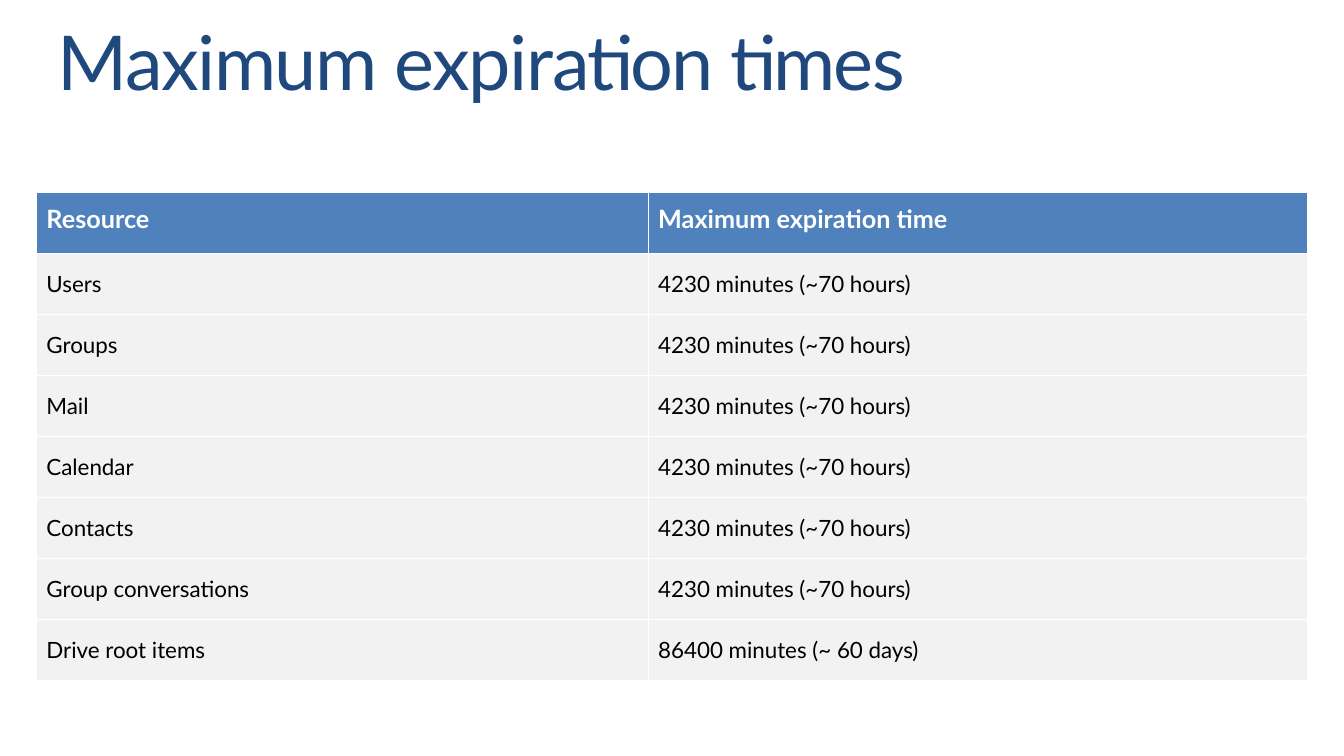
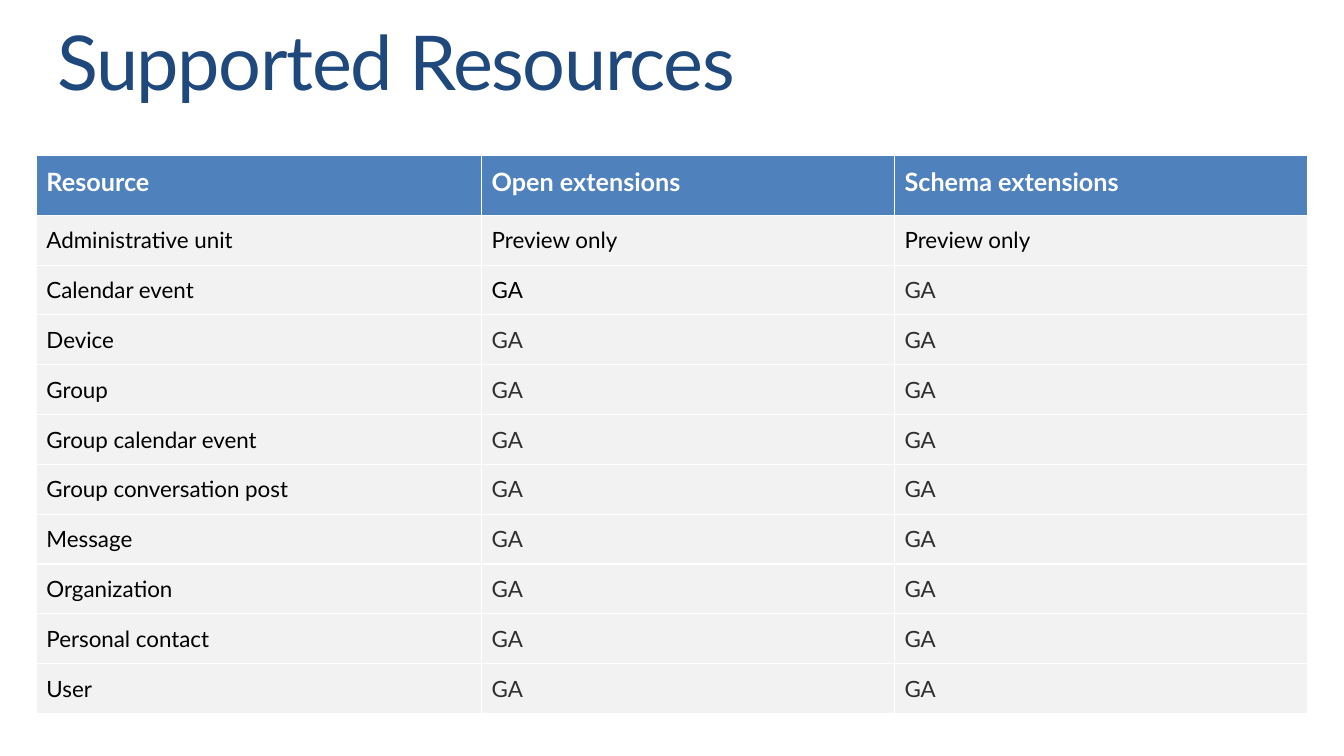
from lxml.etree import SubElement as Sub
from pptx import Presentation as Deck
from pptx.dml.color import RGBColor as Rgb
from pptx.enum.text import MSO_ANCHOR as Anchor
from pptx.oxml.ns import qn
from pptx.util import Pt

HUES = {"title": "1F497D", "head": "4F81BD", "row": "F2F2F2",
        "white": "FFFFFF", "black": "000000", "grey": "2F2F2F"}
FONTS = {
    "title": {"name": "Lato", "size": Pt(54), "bold": False},
    "head": {"name": "Lato", "size": Pt(18), "bold": True},
    "body": {"name": "Lato", "size": Pt(16), "bold": False},
}
LEFT = 26


class Style:
    """Holds the deck, its look and the current slide."""

    def __init__(self):
        self.deck = Deck()
        self.deck.slide_width, self.deck.slide_height = Pt(960), Pt(540)
        self.slide = None

    def page(self, title):
        self.slide = self.deck.slides.add_slide(self.deck.slide_layouts[6])
        self.title(title)

    def label(self, para, text, kind, hue):
        run = para.add_run()
        run.text = text
        for key, value in FONTS[kind].items():
            setattr(run.font, key, value)
        run.font.color.rgb = Rgb.from_string(HUES[hue])
        return run

    def title(self, text):
        box = self.slide.shapes.add_textbox(Pt(41), Pt(18), Pt(878), Pt(59))
        frame = box.text_frame
        frame.word_wrap = True
        for side in ("left", "top", "right", "bottom"):
            setattr(frame, f"margin_{side}", Pt(0))
        para = frame.paragraphs[0]
        para.line_spacing = 0.9
        run = self.label(para, text, "title", "title")
        run._r.get_or_add_rPr().set("spc", "-100")

    def edge(self, cell):
        props = cell._tc.get_or_add_tcPr()
        for tag in ("a:lnL", "a:lnR", "a:lnT", "a:lnB"):
            line = Sub(props, qn(tag), w=str(Pt(1)))
            fill = Sub(line, qn("a:solidFill"))
            Sub(fill, qn("a:srgbClr"), val=HUES["white"])

    def cell(self, cell, text, head, hue):
        self.edge(cell)
        cell.fill.solid()
        cell.fill.fore_color.rgb = Rgb.from_string(HUES["head" if head else "row"])
        cell.vertical_anchor = Anchor.MIDDLE
        para = cell.text_frame.paragraphs[0]
        if head:
            para.line_spacing = Pt(16)
        self.label(para, text, "head" if head else "body", hue)

    def table(self, top, cols, tall, step, rows, shade):
        """Draw rows; shade(row, col, text) names the colour of body text."""
        high = tall + step * (len(rows) - 1)
        grid = self.slide.shapes.add_table(
            len(rows), len(cols), Pt(LEFT), Pt(top), Pt(sum(cols)), Pt(high)).table
        grid.horz_banding = False
        for col, width in zip(grid.columns, cols):
            col.width = Pt(width)
        for r, texts in enumerate(rows):
            grid.rows[r].height = Pt(step if r else tall)
            for c, text in enumerate(texts):
                hue = shade(r, c, text) if r else "white"
                self.cell(grid.cell(r, c), text, r == 0, hue)


def plain(row, col, text):
    return "black"


def status(row, col, text):
    # The first GA entry is black, the later ones are grey
    return "grey" if text == "GA" and (row, col) != (2, 1) else "black"


def main():
    show = Style()

    # Expiration times
    show.page("Maximum expiration times")
    names = ["Users", "Groups", "Mail", "Calendar", "Contacts",
             "Group conversations"]
    rows = [("Resource", "Maximum expiration time")]
    rows += [(name, "4230 minutes (~70 hours)") for name in names]
    rows.append(("Drive root items", "86400 minutes (~ 60 days)"))
    show.table(137.5, [437, 471], 43.6, 43.6, rows, plain)

    # Supported resources
    show.page("Supported Resources")
    names = ["Calendar event", "Device", "Group", "Group calendar event",
             "Group conversation post", "Message", "Organization",
             "Personal contact", "User"]
    rows = [("Resource", "Open extensions", "Schema extensions"),
            ("Administrative unit", "Preview only", "Preview only")]
    rows += [(name, "GA", "GA") for name in names]
    show.table(111, [318, 295, 295], 42.8, 35.6, rows, status)

    show.deck.save("out.pptx")


if __name__ == "__main__":
    main()
